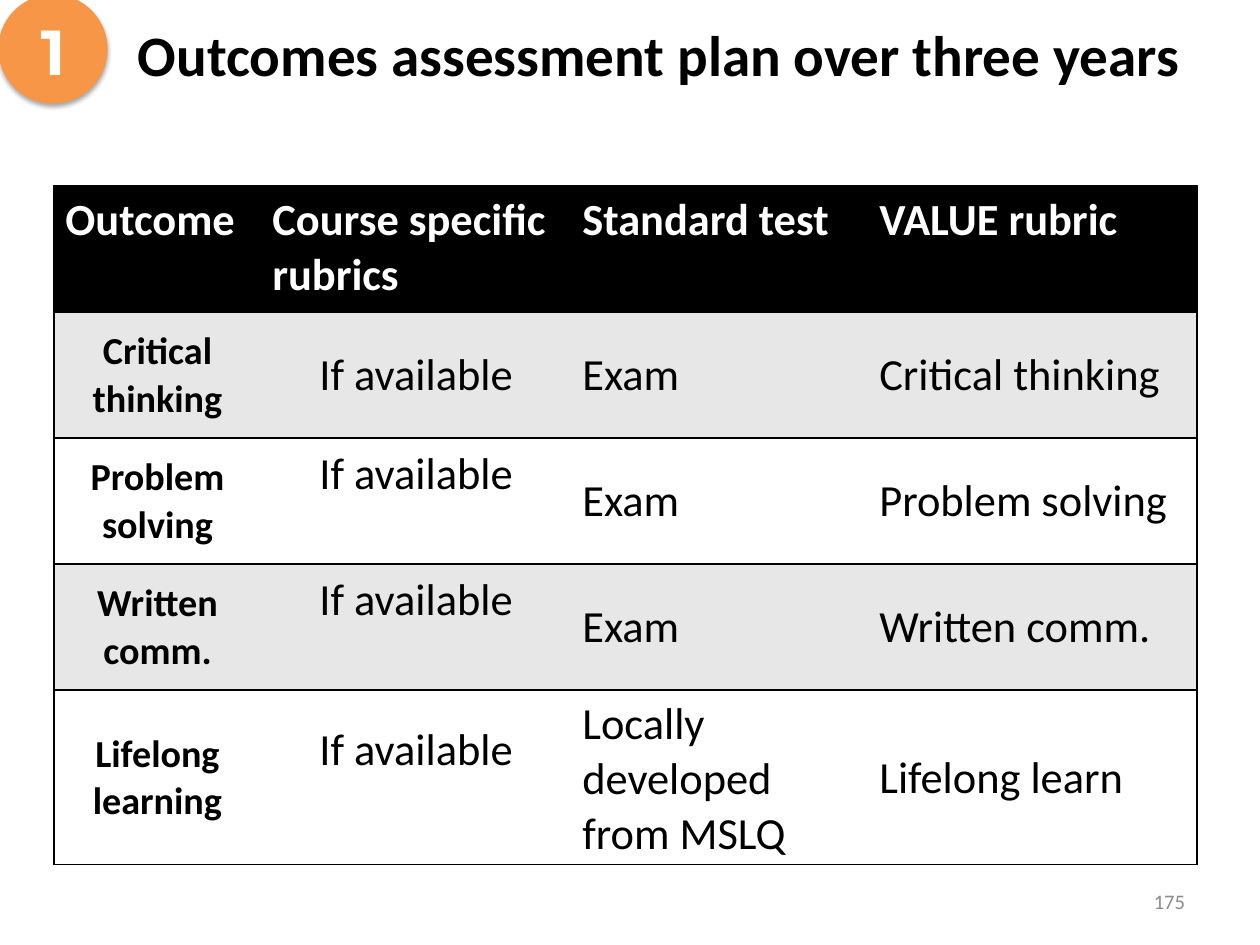
from lxml import etree
from pptx import Presentation
from pptx.dml.color import RGBColor
from pptx.enum.shapes import MSO_SHAPE
from pptx.enum.text import MSO_ANCHOR, PP_ALIGN
from pptx.oxml import parse_xml
from pptx.oxml.ns import nsdecls, qn
from pptx.util import Pt

PX = 8000
OVAL = MSO_SHAPE.OVAL
TOP, MIDDLE = MSO_ANCHOR.TOP, MSO_ANCHOR.MIDDLE
LEFT, CENTER, RIGHT = PP_ALIGN.LEFT, PP_ALIGN.CENTER, PP_ALIGN.RIGHT
BLACK = RGBColor(0x00, 0x00, 0x00)
WHITE = RGBColor(0xFF, 0xFF, 0xFF)
BAND = RGBColor(0xE7, 0xE7, 0xE7)
GRAY = RGBColor(0x8C, 0x8C, 0x8C)
ORANGE = RGBColor(0xF7, 0x96, 0x46)

PLAN = [
    ["Outcome", "Course specific rubrics", "Standard test", "VALUE rubric"],
    ["Critical thinking", "If available", "Exam", "Critical thinking"],
    ["Problem solving", "If available", "Exam", "Problem solving"],
    ["Written comm.", "If available", "Exam", "Written comm."],
    ["Lifelong learning", "If available", "Locally developed from MSLQ", "Lifelong learn"],
]
COL_WIDTHS = [207, 310, 297, 329]
ROW_HEIGHTS = [126, 126, 126, 126, 174]
RAISE = 54  # extra bottom margin that lifts a centred line


def emu(box):
    return [v * PX for v in box]


def write(tf, text, size, color, bold=False, align=LEFT, font="Calibri", spacing=None):
    p = tf.paragraphs[0]
    p.text = text
    p.alignment = align
    if spacing:
        p.line_spacing = spacing
    p.font.name = font
    p.font.size = Pt(size)
    p.font.bold = bold
    p.font.color.rgb = color


def add_text(s, box, text, size, color, **style):
    tf = s.shapes.add_textbox(*emu(box)).text_frame
    tf.word_wrap = True
    tf.vertical_anchor = MIDDLE
    tf.margin_left = tf.margin_right = 12 * PX
    tf.margin_top = tf.margin_bottom = 6 * PX
    write(tf, text, size, color, **style)


def add_badge(s, box, number):
    sp = s.shapes.add_shape(OVAL, *emu(box))
    sp.shadow.inherit = False
    sp.fill.solid()
    sp.fill.fore_color.rgb = ORANGE
    sp.line.color.rgb = ORANGE
    sp.line.width = Pt(0.75)
    sp._element.spPr.find(qn("a:effectLst")).append(parse_xml(
        f'<a:outerShdw {nsdecls("a")} blurRad="{Pt(3.1)}" dist="{Pt(1.8)}" dir="5400000" '
        'rotWithShape="0"><a:srgbClr val="000000"><a:alpha val="35000"/></a:srgbClr></a:outerShdw>'))
    tf = sp.text_frame
    tf.vertical_anchor = MIDDLE
    write(tf, number, 40, WHITE, bold=True, align=CENTER, font="Montserrat", spacing=1.02)


def set_borders(cell, visible):
    """Rule the sides named in visible (L, R, T, B) and clear the others."""
    tcPr = cell._tc.get_or_add_tcPr()
    for i, side in enumerate("LRTB"):
        ln = etree.Element(qn(f"a:ln{side}"), w=str(Pt(1)))
        if side in visible:
            fill = etree.SubElement(ln, qn("a:solidFill"))
            etree.SubElement(fill, qn("a:srgbClr"), val=str(BLACK))
        else:
            etree.SubElement(ln, qn("a:noFill"))
        tcPr.insert(i, ln)


def fill_cell(cell, text, row, col):
    header, outcome = row == 0, col == 0
    cell.fill.solid()
    cell.fill.fore_color.rgb = BLACK if header else BAND if row % 2 else WHITE
    cell.vertical_anchor = TOP if header else MIDDLE
    raised = row > 1 and col == 1
    if raised:
        cell.margin_bottom = (6 + RAISE) * PX
    write(cell.text_frame, text, 24 if outcome and not header else 28,
          WHITE if header else BLACK, bold=header or outcome,
          align=CENTER if col < 2 and not header else LEFT,
          spacing=None if raised else 1.02)
    set_borders(cell, "TB" + "L" * outcome + "R" * (col == len(COL_WIDTHS) - 1))


def add_plan_table(s, left, top):
    box = (left, top, sum(COL_WIDTHS), sum(ROW_HEIGHTS))
    table = s.shapes.add_table(len(PLAN), len(COL_WIDTHS), *emu(box)).table
    for column, width in zip(table.columns, COL_WIDTHS):
        column.width = width * PX
    for r, (line, height) in enumerate(zip(PLAN, ROW_HEIGHTS)):
        table.rows[r].height = height * PX
        for c, text in enumerate(line):
            fill_cell(table.cell(r, c), text, r, c)


def main():
    prs = Presentation()
    prs.slide_width, prs.slide_height = emu((1260, 945))
    s = prs.slides.add_slide(prs.slide_layouts[6])
    add_text(s, (126, 4, 1134, 99), "Outcomes assessment plan over three years",
             36, BLACK, bold=True)
    add_text(s, (903, 876, 294, 50), "175", 13, GRAY, align=RIGHT)
    add_plan_table(s, 54, 186)
    add_badge(s, (-1, -5, 108, 108), "1")
    prs.save("out.pptx")


if __name__ == "__main__":
    main()
